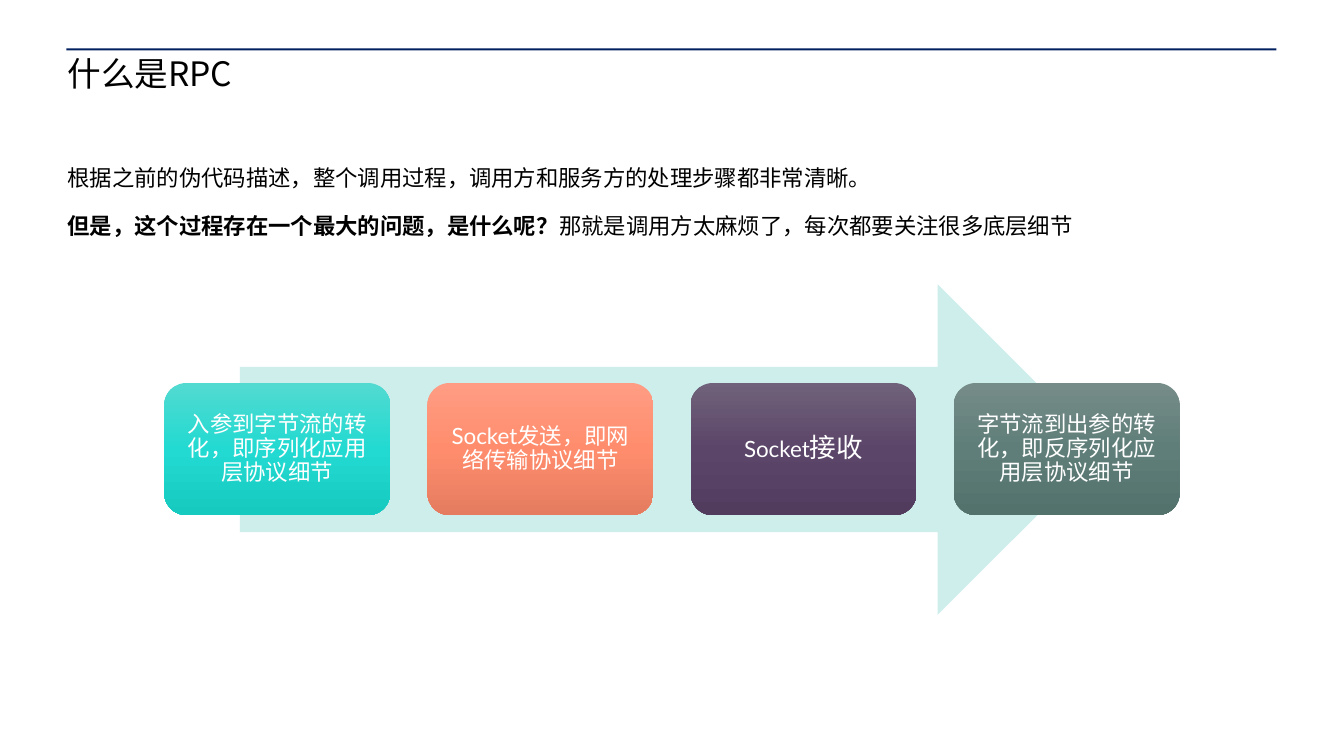
from copy import deepcopy
from dataclasses import dataclass

from lxml.etree import SubElement
from pptx import Presentation
from pptx.dml.color import RGBColor
from pptx.enum.shapes import MSO_SHAPE
from pptx.enum.text import MSO_ANCHOR, PP_ALIGN
from pptx.oxml.ns import qn
from pptx.util import Inches, Pt


@dataclass(frozen=True)
class Theme:
    cjk_font: str = "Noto Sans CJK SC"
    card_font: str = "Lato"
    text: str = "000000"
    card_text: str = "FFFFFF"
    rule: str = "002060"
    arrow: str = "CDEEEB"
    teal: tuple = ("52DAD1", "22DAD1", "16CAC0")
    coral: tuple = ("FF9C83", "FF8D6D", "E57C5F")
    purple: tuple = ("70627A", "5B4569", "523C5E")
    green: tuple = ("758C88", "607E79", "54726C")
    title_size: int = 24
    body_size: int = 16
    large_size: int = 19


class SlideBuilder:
    def __init__(self, slide, theme):
        self.slide = slide
        self.theme = theme

    def add_run(self, paragraph, text, size, color, font_name, bold=False):
        run = paragraph.add_run()
        run.text = text
        run.font.size = Pt(size)
        run.font.bold = bold
        run.font.color.rgb = RGBColor.from_string(color)
        run.font.name = font_name
        east_asian = SubElement(run.font._element, qn("a:ea"))
        east_asian.set("typeface", self.theme.cjk_font)

    def set_insets(self, text_frame, inset):
        text_frame.word_wrap = True
        text_frame.margin_left = text_frame.margin_right = Inches(inset)
        text_frame.margin_top = text_frame.margin_bottom = Inches(inset)

    def add_plain_shape(self, kind, left, top, width, height):
        shape = self.slide.shapes.add_shape(
            kind, Inches(left), Inches(top), Inches(width), Inches(height))
        shape.shadow.inherit = False
        shape.line.fill.background()
        return shape

    def add_solid(self, kind, left, top, width, height, color):
        shape = self.add_plain_shape(kind, left, top, width, height)
        shape.fill.solid()
        shape.fill.fore_color.rgb = RGBColor.from_string(color)

    def add_text(self, left, top, width, height, paragraphs, size,
                 line_spacing, space_after=0):
        box = self.slide.shapes.add_textbox(
            Inches(left), Inches(top), Inches(width), Inches(height))
        text_frame = box.text_frame
        self.set_insets(text_frame, 0)
        for index, runs in enumerate(paragraphs):
            paragraph = text_frame.add_paragraph() if index else text_frame.paragraphs[0]
            paragraph.line_spacing = line_spacing
            paragraph.space_after = Pt(space_after)
            for text, bold in runs:
                self.add_run(paragraph, text, size, self.theme.text,
                             self.theme.cjk_font, bold)

    def add_card(self, left, top, width, height, colors, runs):
        card = self.add_plain_shape(MSO_SHAPE.ROUNDED_RECTANGLE, left, top, width, height)
        # Vertical gradient with three stops
        card.fill.gradient()
        card.fill.gradient_angle = 270
        stop_list = card._element.spPr.find(qn("a:gradFill")).find(qn("a:gsLst"))
        stop_list.append(deepcopy(stop_list[0]))
        for stop, position, color in zip(card.fill.gradient_stops, (0, 0.5, 1), colors):
            stop.position = position
            stop.color.rgb = RGBColor.from_string(color)
        # Centred caption
        text_frame = card.text_frame
        self.set_insets(text_frame, 0.13)
        text_frame.vertical_anchor = MSO_ANCHOR.MIDDLE
        paragraph = text_frame.paragraphs[0]
        paragraph.alignment = PP_ALIGN.CENTER
        paragraph.line_spacing = 0.9
        for text, size in runs:
            self.add_run(paragraph, text, size, self.theme.card_text, self.theme.card_font)


def main():
    presentation = Presentation()
    presentation.slide_width = Inches(13.33)
    presentation.slide_height = Inches(7.5)
    slide = presentation.slides.add_slide(presentation.slide_layouts[6])
    theme = Theme()
    builder = SlideBuilder(slide, theme)

    # Header rule and title
    builder.add_solid(MSO_SHAPE.RECTANGLE, 0.66, 0.48, 12, 0.02, theme.rule)
    builder.add_text(0.67, 0.57, 11.99, 0.93, [[("什么是RPC", False)]],
                     theme.title_size, 0.9)

    # Introduction
    introduction = [
        [("根据之前的伪代码描述，整个调用过程，调用方和服务方的处理步骤都非常清晰。", False)],
        [("但是，这个过程存在一个最大的问题，是什么呢？", True),
         ("那就是调用方太麻烦了，每次都要关注很多底层细节", False)],
    ]
    builder.add_text(0.67, 1.5, 10.85, 1.24, introduction, theme.body_size, 1.5, 5)

    # Process arrow with its four steps
    builder.add_solid(MSO_SHAPE.RIGHT_ARROW, 2.38, 2.82, 8.56, 3.28, theme.arrow)
    steps = [
        (theme.teal, [("入参到字节流的转化，即序列化应用层协议细节", theme.body_size)]),
        (theme.coral, [("Socket发送，即网络传输协议细节", theme.body_size)]),
        (theme.purple, [("Socket", theme.body_size), ("接收", theme.large_size)]),
        (theme.green, [("字节流到出参的转化，即反序列化应用层协议细节", theme.body_size)]),
    ]
    first_left, pitch = 1.63, 2.61
    for index, (colors, runs) in enumerate(steps):
        builder.add_card(first_left + index * pitch, 3.8, 2.24, 1.31, colors, runs)

    presentation.save("out.pptx")


if __name__ == "__main__":
    main()
